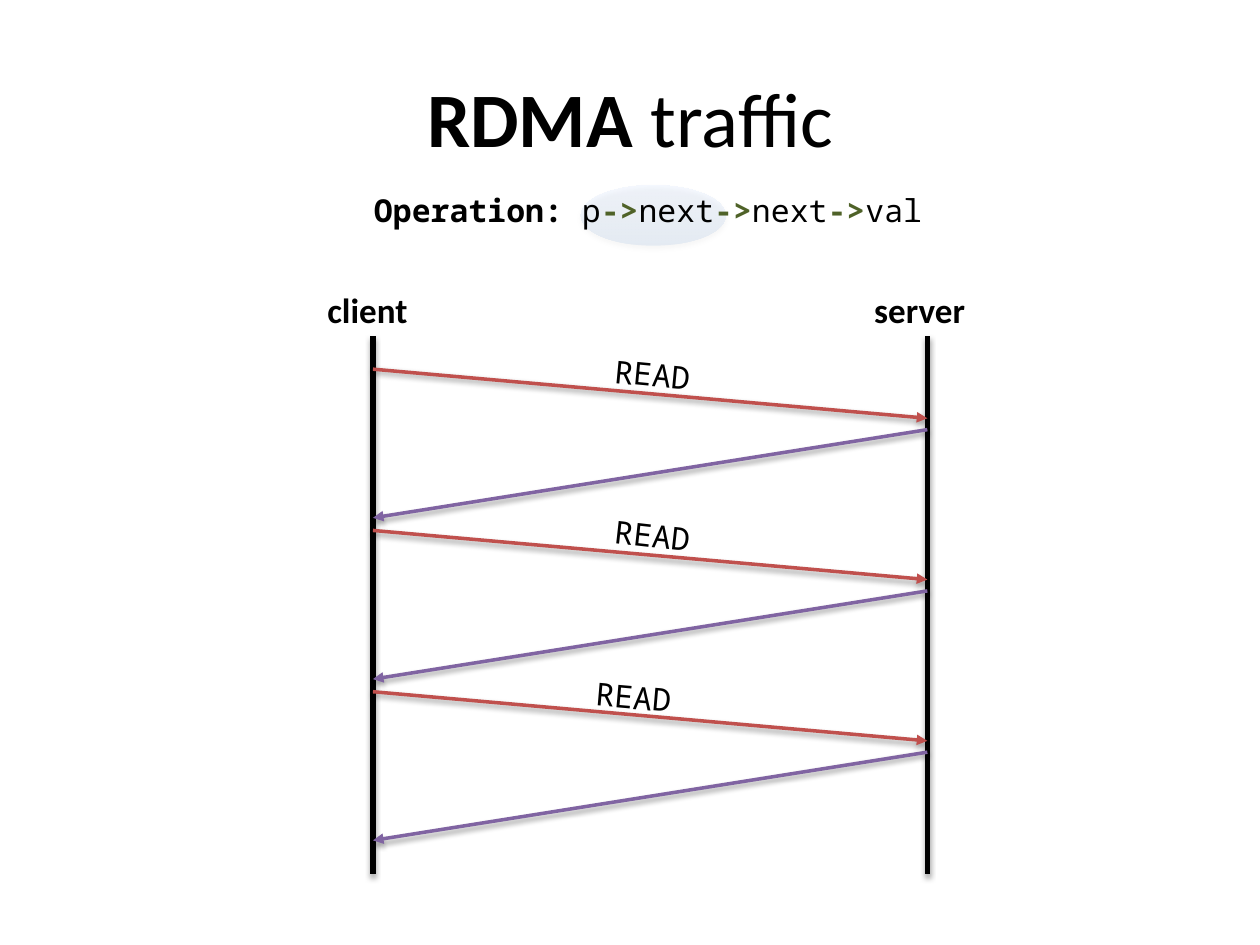
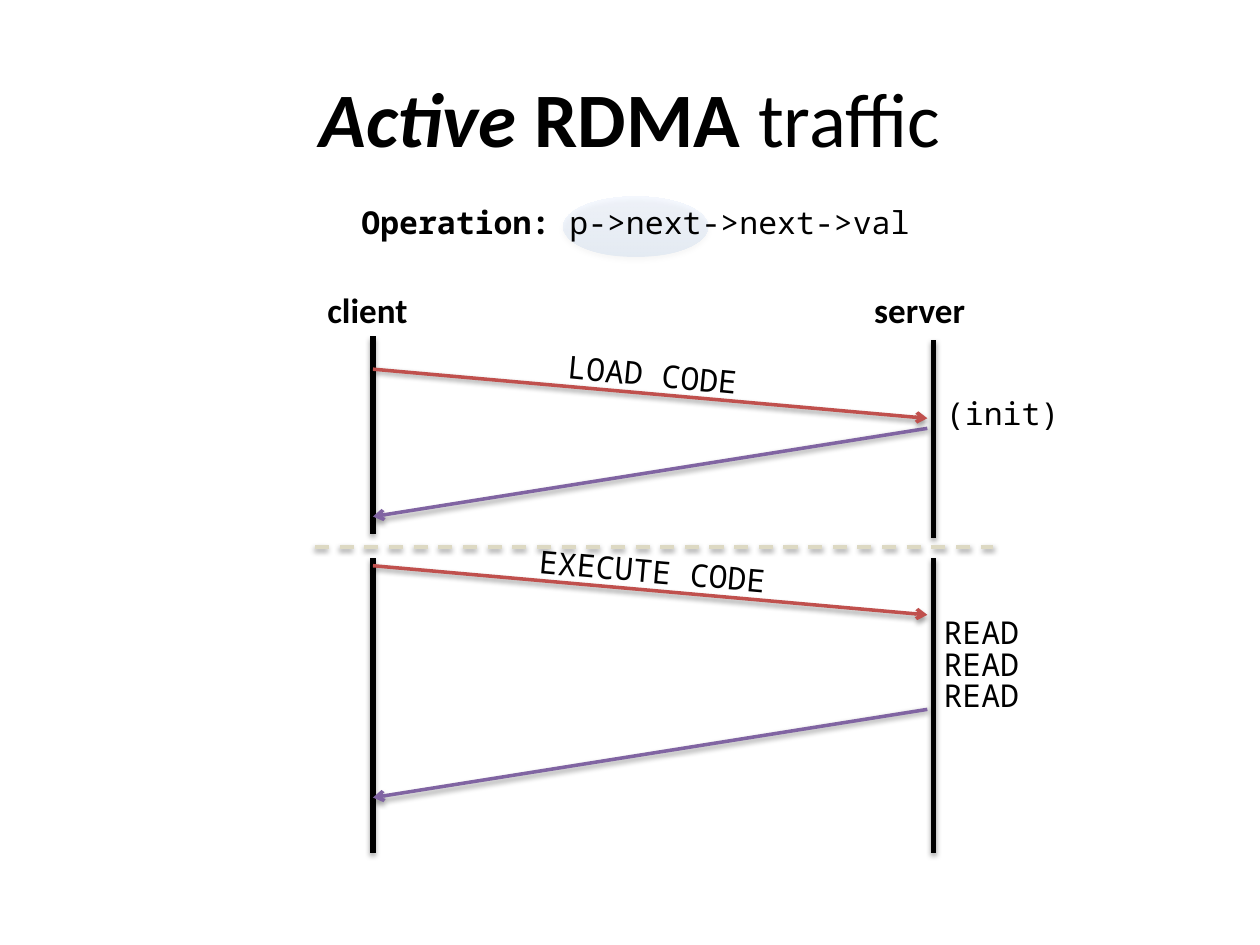
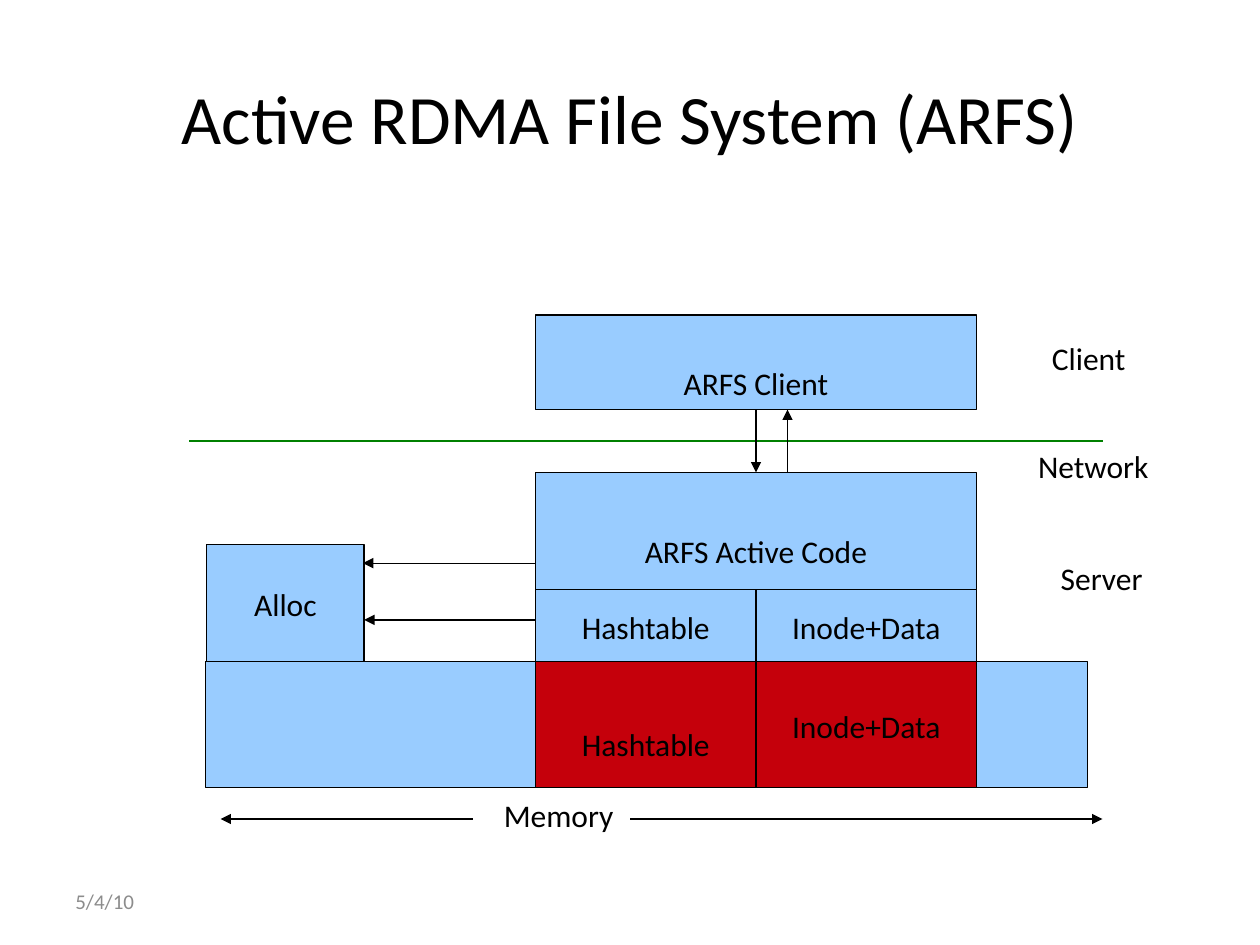
from lxml.etree import SubElement
from pptx import Presentation
from pptx.dml.color import RGBColor
from pptx.enum.dml import MSO_LINE
from pptx.enum.shapes import MSO_CONNECTOR, MSO_SHAPE
from pptx.enum.text import MSO_ANCHOR, MSO_AUTO_SIZE, PP_ALIGN
from pptx.oxml.ns import qn
from pptx.util import Inches, Pt

# Shared look
BLACK, GREEN, RED, PURPLE = "000000", "4F6228", "C0504D", "8064A2"
BEIGE, GREY, NETWORK_GREEN = "DDD9C3", "8C8C8C", "008000"
BLOCK_BLUE, DATA_RED = "99CCFF", "C5000B"
SANS, MONO = "Calibri", "Noto Sans Mono"
BOLD, PLAIN = {"bold": True}, {"bold": False}
CODE = {"name": MONO, "size": Pt(18)}
ACTOR = {"name": SANS, "size": Pt(20), "bold": True}
BLOCK_TEXT = {"name": SANS, "size": Pt(18)}
BLOCK_INSETS = {"margin_left": Inches(0.1), "margin_top": Inches(0.07),
                "margin_right": Inches(0.1), "margin_bottom": Inches(0.05)}
LINE_SHADOW = {"blur": 3.1, "distance": 1.6, "opacity": 38}
HIGHLIGHT_SHADOW = {"blur": 3.1, "distance": 1.8, "opacity": 35}


# Helpers
def color(hex_value):
    return RGBColor.from_string(hex_value)


def apply(target, values):
    for name, value in values.items():
        setattr(target, name, value)


def add_alpha(color_element, percent):
    SubElement(color_element, qn("a:alpha"), val=str(percent * 1000))


def add_shadow(effects, blur, distance, opacity):
    shadow = SubElement(effects, qn("a:outerShdw"), blurRad=str(Pt(blur)),
                        dist=str(Pt(distance)), dir="5400000", rotWithShape="0")
    add_alpha(SubElement(shadow, qn("a:srgbClr"), val=BLACK), opacity)


def write(frame, runs, font, font_color=BLACK, align=PP_ALIGN.LEFT):
    """Fill the first paragraph with (text, extra format) runs."""
    paragraph = frame.paragraphs[0]
    paragraph.alignment = align
    for text, extra in runs:
        run = paragraph.add_run()
        run.text = text
        run.font.color.rgb = color(font_color)
        apply(run.font, font)
        for name, value in extra.items():
            if name == "color":
                run.font.color.rgb = color(value)
            else:
                setattr(run.font, name, value)


def add_label(slide, left, top, width, height, runs, font, font_color=BLACK,
              rotation=0, **frame_format):
    shape = slide.shapes.add_textbox(Inches(left), Inches(top), Inches(width), Inches(height))
    shape.rotation = rotation
    frame = shape.text_frame
    apply(frame, {"word_wrap": False, "auto_size": MSO_AUTO_SIZE.SHAPE_TO_FIT_TEXT} | frame_format)
    write(frame, runs, font, font_color)


def add_code(slide, left, top, text, centered=False, rotation=0):
    width = 0.2 + 0.15 * len(text)
    if centered:
        left -= width / 2
    add_label(slide, left, top, width, 0.4, [(text, {})], CODE, rotation=rotation)


def add_line(slide, start, end, line_color=BLACK, width=0.75, arrow=None, dash=None, shadow=None):
    connector = slide.shapes.add_connector(
        MSO_CONNECTOR.STRAIGHT, *(Inches(value) for value in (*start, *end)))
    connector.line.color.rgb = color(line_color)
    connector.line.width = Pt(width)
    if dash:
        connector.line.dash_style = dash
    properties = connector._element.spPr
    if arrow:
        SubElement(properties.find(qn("a:ln")), qn("a:tailEnd"), type=arrow)
    effects = SubElement(properties, qn("a:effectLst"))
    if shadow:
        add_shadow(effects, **shadow)


def add_title_slide(presentation, runs, size=44):
    slide = presentation.slides.add_slide(presentation.slide_layouts[5])
    title = slide.shapes.title
    apply(title, {"left": Inches(0.5), "top": Inches(0.3),
                  "width": Inches(9), "height": Inches(1.25)})
    title.text_frame.vertical_anchor = MSO_ANCHOR.MIDDLE
    write(title.text_frame, runs, {"name": SANS, "size": Pt(size)}, align=PP_ALIGN.CENTER)
    return slide


# Parts of the traffic diagrams
def add_operation(slide, left, top, runs, highlight_left):
    """Operation text over an oval around its first step."""
    oval = slide.shapes.add_shape(MSO_SHAPE.OVAL, Inches(left + highlight_left), Inches(top),
                                  Inches(1.15), Inches(0.48))
    oval.fill.gradient()
    oval.fill.gradient_angle = 90
    for stop, stop_color in zip(oval.fill.gradient_stops, ("3F80CE", "A4C4FF")):
        stop.color.rgb = color(stop_color)
    properties = oval._element.spPr
    for color_element in properties.iter(qn("a:srgbClr")):
        add_alpha(color_element, 10)
    oval.line.fill.background()
    oval.shadow.inherit = False
    add_shadow(properties.find(qn("a:effectLst")), **HIGHLIGHT_SHADOW)
    add_label(slide, left, top, 4.6, 0.4, [("Operation: ", BOLD)] + runs, CODE)


def add_actors(slide, left, top):
    for name, offset, width in (("client", -0.46, 0.93), ("server", 3.88, 1.04)):
        add_label(slide, left + offset, top - 0.43, width, 0.44, [(name, {})], ACTOR)


def add_lifeline(slide, x, top, height):
    add_line(slide, (x, top), (x, top + height), width=3, shadow=LINE_SHADOW)


def add_exchange(slide, left, top, width, label, reply_offset, arrow, rotation, label_center=2.22):
    """A request going right and its reply coming back."""
    right, reply_top = left + width, top + reply_offset
    add_line(slide, (right, reply_top), (left, reply_top + 0.7), PURPLE, 2, arrow,
             shadow=LINE_SHADOW)
    add_line(slide, (left, top), (right, top + 0.39), RED, 2, arrow, shadow=LINE_SHADOW)
    add_code(slide, left + label_center, top - 0.16, label, True, rotation)


def build_rdma_slide(presentation, left=2.96, top=2.67, width=4.4, height=4.27):
    slide = add_title_slide(presentation, [("RDMA ", BOLD), ("traffic", PLAIN)])
    runs = [("p", PLAIN)]
    for field in ("next", "next", "val"):
        runs += [("->", {"bold": True, "color": GREEN}), (field, PLAIN)]
    add_operation(slide, 2.87, 1.47, runs, 1.74)
    add_actors(slide, left, top)
    for x in (left, left + width):
        add_lifeline(slide, x, top, height)
    for index, (rotation, center) in enumerate(((5.4, 2.22), (6.4, 2.22), (4.9, 2.07))):
        add_exchange(slide, left, top + 0.26 + 1.28 * index, width, "READ", 0.48,
                     "triangle", rotation, center)


def build_active_rdma_slide(presentation, left=2.96, top=2.67, width=4.4):
    slide = add_title_slide(presentation, [("Active ", {"bold": True, "italic": True}),
                                           ("RDMA ", BOLD), ("traffic", PLAIN)])
    add_operation(slide, 2.77, 1.56, [("p->next->next->val", PLAIN)], 1.7)
    add_actors(slide, left, top)
    server = left + width + 0.05
    # Loading phase
    add_lifeline(slide, left, top, 1.57)
    add_lifeline(slide, server, top + 0.03, 1.57)
    add_exchange(slide, left, top + 0.26, width, "LOAD CODE", 0.47, "arrow", 5.4)
    add_code(slide, server, top + 0.41, "(init)")
    # Execution phase
    add_line(slide, (left - 0.46, top + 1.67), (left + 4.92, top + 1.67), BEIGE, 2,
             dash=MSO_LINE.DASH, shadow=LINE_SHADOW)
    for x in (left, server):
        add_lifeline(slide, x, top + 1.76, 2.34)
    add_exchange(slide, left, top + 1.82, width, "EXECUTE CODE", 1.14, "arrow", 4.9)
    for index in range(3):
        add_code(slide, server - 0.02, top + 2.15 + 0.25 * index, "READ")


# File system diagram
def add_block(slide, left, top, width, height, text="", fill=BLOCK_BLUE, lowered=0):
    shape = slide.shapes.add_shape(MSO_SHAPE.RECTANGLE, Inches(left), Inches(top),
                                   Inches(width), Inches(height))
    shape.shadow.inherit = False
    shape.fill.solid()
    shape.fill.fore_color.rgb = color(fill)
    shape.line.color.rgb = color(BLACK)
    shape.line.width = Pt(0.75)
    if text:
        frame = shape.text_frame
        apply(frame, BLOCK_INSETS | {"margin_top": Inches(0.07 + lowered), "word_wrap": False,
                                     "vertical_anchor": MSO_ANCHOR.MIDDLE})
        write(frame, [(text, {})], BLOCK_TEXT, align=PP_ALIGN.CENTER)


def add_stack(slide, left, top, width):
    """Client above the network, active code and its memory below."""
    half = width / 2
    add_block(slide, left, top, width, 0.75, "ARFS Client", lowered=0.3)
    add_block(slide, left, top + 1.25, width, 0.93, "ARFS Active Code", lowered=0.3)
    for index, (name, lowered) in enumerate((("Hashtable", 0.28), ("Inode+Data", 0))):
        x = left + index * half
        add_block(slide, x, top + 2.18, half, 0.57, name)
        add_block(slide, x, top + 2.75, half, 1, name, DATA_RED, lowered)


def build_file_system_slide(presentation, left=1.5, top=2.5, width=7.25):
    slide = add_title_slide(presentation, [("Active RDMA File System (ARFS)", {})], 39.6)
    stack_left = left + 2.75
    # Blocks
    add_block(slide, left + 0.13, top + 2.75, 7, 1)
    add_block(slide, left + 0.14, top + 1.82, 1.25, 0.93, "Alloc")
    add_stack(slide, stack_left, top, 3.5)
    # Network border and arrows
    add_line(slide, (left, top + 1), (left + width, top + 1), NETWORK_GREEN)
    middle, memory_top = stack_left + 1.75, top + 4
    arrows = [
        ((middle, top + 0.75), (middle, top + 1.25)),
        ((middle + 0.25, top + 1.25), (middle + 0.25, top + 0.75)),
        ((stack_left, top + 1.97), (left + 1.38, top + 1.97)),
        ((stack_left, top + 2.42), (left + 1.39, top + 2.42)),
        ((left + 2.25, memory_top), (left + 0.25, memory_top)),
        ((left + 3.5, memory_top), (left + width, memory_top)),
    ]
    for start, end in arrows:
        add_line(slide, start, end, arrow="triangle")
    # Captions
    captions = [("Memory", 2.4, 3.75, 1.1), ("Client", 6.75, 0.12, 0.84),
                ("Network", 6.64, 0.98, 1.11), ("Server", 6.82, 1.87, 0.93)]
    for text, x, y, caption_width in captions:
        add_label(slide, left + x, top + y, caption_width, 0.38, [(text, {})], BLOCK_TEXT,
                  **BLOCK_INSETS)
    # Date
    add_label(slide, 0.5, 6.95, 2.33, 0.4, [("5/4/10", {})], {"name": SANS, "size": Pt(12)}, GREY,
              word_wrap=True, auto_size=MSO_AUTO_SIZE.NONE, vertical_anchor=MSO_ANCHOR.MIDDLE)


def main():
    presentation = Presentation()
    presentation.slide_width, presentation.slide_height = Inches(10), Inches(7.5)
    build_rdma_slide(presentation)
    build_active_rdma_slide(presentation)
    build_file_system_slide(presentation)
    presentation.save("out.pptx")


if __name__ == "__main__":
    main()
